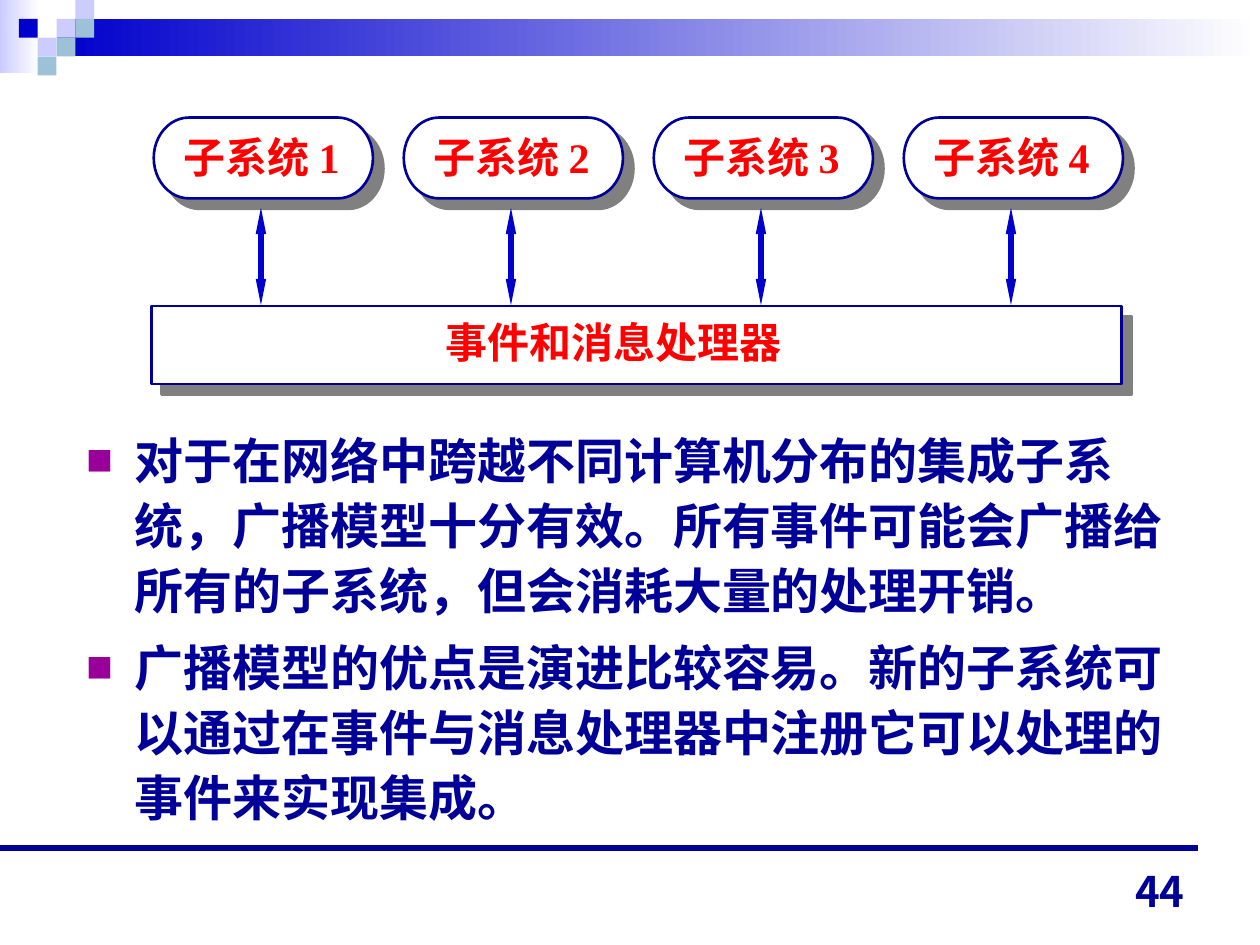
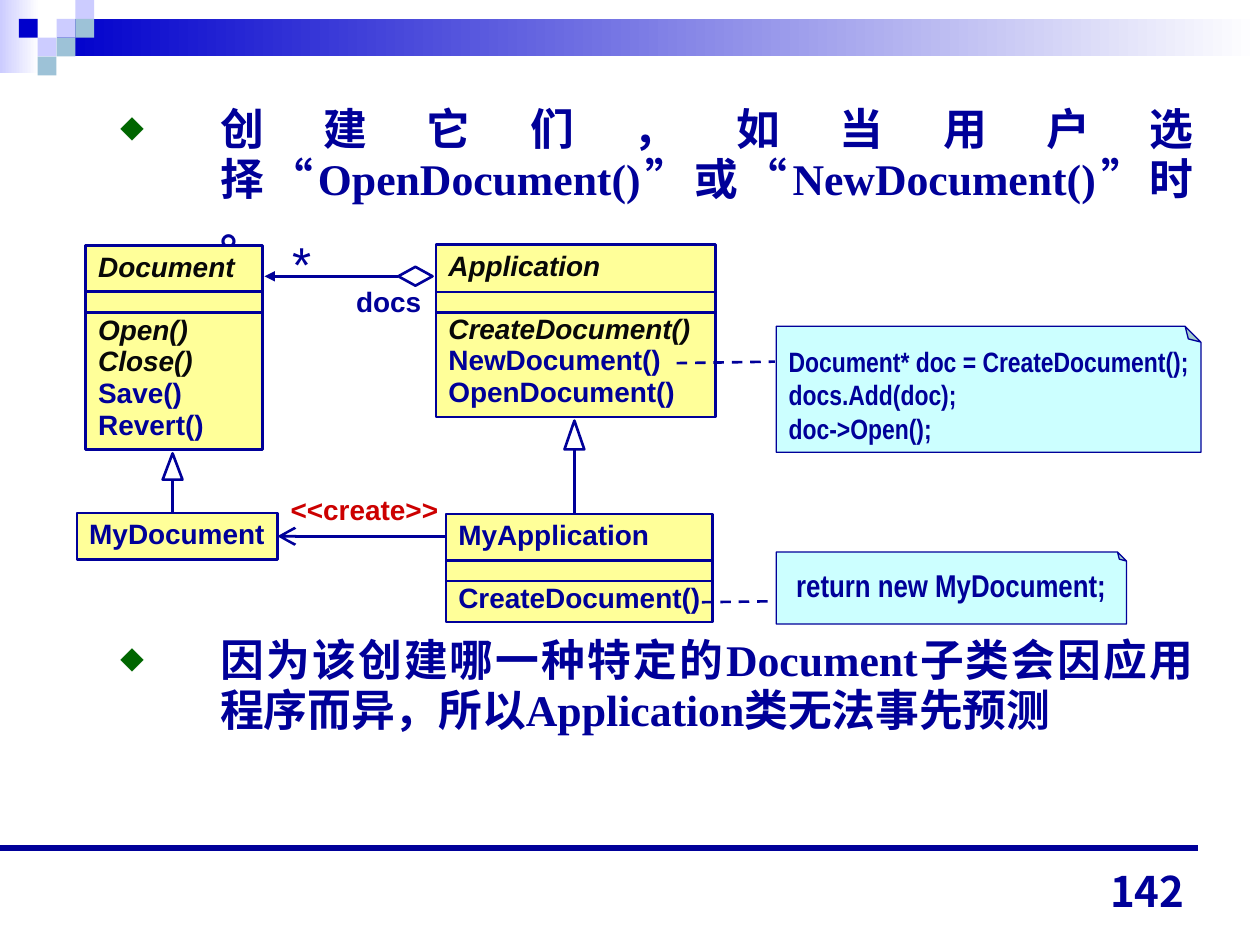
from dataclasses import dataclass, replace
from typing import Optional

from lxml import etree
from pptx import Presentation
from pptx.dml.color import RGBColor
from pptx.enum.dml import MSO_LINE
from pptx.enum.shapes import MSO_CONNECTOR, MSO_SHAPE
from pptx.enum.text import MSO_ANCHOR, PP_ALIGN
from pptx.oxml.ns import qn
from pptx.util import Cm, Pt

RECTANGLE = MSO_SHAPE.RECTANGLE
TERMINATOR = MSO_SHAPE.FLOWCHART_TERMINATOR
FOLDED_CORNER = MSO_SHAPE.FOLDED_CORNER
DIAMOND = MSO_SHAPE.DIAMOND
TRIANGLE = MSO_SHAPE.ISOSCELES_TRIANGLE
STRAIGHT = MSO_CONNECTOR.STRAIGHT
DASH = MSO_LINE.DASH
LEFT, CENTER, RIGHT, JUSTIFY = PP_ALIGN.LEFT, PP_ALIGN.CENTER, PP_ALIGN.RIGHT, PP_ALIGN.JUSTIFY
TOP, BOTTOM = MSO_ANCHOR.TOP, MSO_ANCHOR.BOTTOM
LEFT_SIDE, RIGHT_SIDE = 1, 3


@dataclass(frozen=True)
class Theme:
    navy: str = "000099"
    blue: str = "0000CC"
    lavender: str = "CCCCFF"
    teal: str = "9DC2D7"
    white: str = "FFFFFF"
    red: str = "FF0000"
    dark_red: str = "CC0000"
    black: str = "080808"
    gray: str = "808080"
    yellow: str = "FFFF99"
    aqua: str = "CCFFFF"
    purple: str = "990099"
    green: str = "006600"
    serif: str = "Times New Roman"
    sans: str = "Arial"
    narrow: str = "Arial Narrow"
    cjk: str = "Noto Sans CJK JP"
    body: float = 28
    sub_body: float = 25
    label: float = 24
    note: float = 18
    code: float = 16
    outline: float = 1.5


THEME = Theme()


@dataclass(frozen=True)
class Box:
    left: float
    top: float
    width: float
    height: float


@dataclass(frozen=True)
class Style:
    size: float
    font: str
    color: str = THEME.navy
    bold: bool = True
    italic: bool = False


@dataclass(frozen=True)
class Line:
    text: str
    style: Style
    before: float = 0


@dataclass(frozen=True)
class Bullet:
    char: str
    color: str
    margin: float
    hanging: float


@dataclass(frozen=True)
class Arrow:
    kind: str
    width: str = "med"
    length: str = "med"


@dataclass(frozen=True)
class ClassBox:
    box: Box
    lines: tuple[Line, ...]
    dividers: tuple[float, ...] = ()


BODY = Style(THEME.body, THEME.serif)
SUB_BODY = Style(THEME.sub_body, THEME.serif)
LABEL = Style(THEME.label, THEME.serif, THEME.red)
PAGE_NUMBER = Style(THEME.label, THEME.cjk)
CONCRETE = Style(THEME.code, THEME.sans)
ABSTRACT = replace(CONCRETE, color=THEME.black, italic=True)
NOTE = Style(THEME.code, THEME.narrow)
COMPARTMENT_GAP = 17.5


def rgb(color: str) -> RGBColor:
    return RGBColor.from_string(color)


# Drawing helpers
def add_child(parent, tag: str, **attributes: str):
    return etree.SubElement(parent, qn(tag), attributes)


def add_shape(slide, kind, box: Box, fill: str, line: Optional[str] = None, weight: float = THEME.outline):
    shape = slide.shapes.add_shape(kind, Cm(box.left), Cm(box.top), Cm(box.width), Cm(box.height))
    shape.shadow.inherit = False
    shape.fill.solid()
    shape.fill.fore_color.rgb = rgb(fill)
    if line:
        shape.line.color.rgb = rgb(line)
        shape.line.width = Pt(weight)
    else:
        shape.line.fill.background()
    return shape


def add_shadow(shape) -> None:
    effects = shape.element.spPr.find(qn("a:effectLst"))
    shadow = add_child(effects, "a:outerShdw", blurRad="0", dist=str(Pt(8.5)), dir="2700000",
                       algn="ctr", rotWithShape="0")
    add_child(shadow, "a:srgbClr", val=THEME.gray)


def add_gradient(slide, box: Box, color: str) -> None:
    shape = add_shape(slide, RECTANGLE, box, color)
    shape.fill.gradient()
    shape.fill.gradient_angle = 180
    for stop, stop_color in zip(shape.fill.gradient_stops, (THEME.white, color)):
        stop.color.rgb = rgb(stop_color)


def add_line(slide, start: tuple[float, float], end: tuple[float, float], color: str = THEME.navy,
             weight: float = THEME.outline, head: Optional[Arrow] = None, tail: Optional[Arrow] = None,
             dashed: bool = False):
    connector = slide.shapes.add_connector(STRAIGHT, *map(Cm, start + end))
    connector.line.color.rgb = rgb(color)
    connector.line.width = Pt(weight)
    if dashed:
        connector.line.dash_style = DASH
    properties = connector.element.spPr
    for tag, arrow in (("a:headEnd", head), ("a:tailEnd", tail)):
        if arrow:
            add_child(properties.find(qn("a:ln")), tag, type=arrow.kind, w=arrow.width, len=arrow.length)
    add_child(properties, "a:effectLst")
    return connector


def add_bullet(paragraph, bullet: Bullet) -> None:
    properties = paragraph._p.get_or_add_pPr()
    properties.set("marL", str(Cm(bullet.margin)))
    properties.set("indent", str(-Cm(bullet.hanging)))
    properties.set("hangingPunct", "0")
    add_child(add_child(properties, "a:buClr"), "a:srgbClr", val=bullet.color)
    add_child(properties, "a:buSzPct", val="55000")
    add_child(properties, "a:buFont", typeface=THEME.cjk)
    add_child(properties, "a:buChar", char=bullet.char)


def write(shape, lines: tuple[Line, ...], align=LEFT, spacing=1.0, anchor=TOP,
          bullet: Optional[Bullet] = None) -> None:
    frame = shape.text_frame
    frame.word_wrap = True
    frame.vertical_anchor = anchor
    frame.margin_left = Cm(0.25)
    frame.margin_right = Cm(0 if align == LEFT else 0.25)
    frame.margin_top = frame.margin_bottom = Cm(0.13)
    frame.text = "\n".join(line.text for line in lines)
    for paragraph, line in zip(frame.paragraphs, lines):
        if bullet:
            add_bullet(paragraph, bullet)
        paragraph.alignment = align
        paragraph.line_spacing = spacing
        paragraph.space_before = Pt(line.before)
        for run in paragraph.runs:
            run.font.size = Pt(line.style.size)
            run.font.name = line.style.font
            run.font.bold = line.style.bold
            run.font.italic = line.style.italic
            run.font.color.rgb = rgb(line.style.color)
            add_child(run._r.get_or_add_rPr(), "a:ea", typeface=THEME.cjk)


def add_text(slide, box: Box, lines: tuple[Line, ...], **options) -> None:
    text_box = slide.shapes.add_textbox(Cm(box.left), Cm(box.top), Cm(box.width), Cm(box.height))
    write(text_box, lines, **options)


# Parts shared by the slides
def add_frame(presentation, number: int):
    slide = presentation.slides.add_slide(presentation.slide_layouts[6])
    add_gradient(slide, Box(0, 0, 0.79, 1.47), THEME.lavender)
    add_gradient(slide, Box(1.14, 0.38, 24.26, 0.76), THEME.blue)
    cell = 0.38
    squares = {THEME.lavender: ((3, 1), (4, 0), (2, 2)),
               THEME.teal: ((4, 1), (3, 2), (2, 3)),
               THEME.blue: ((1, 1),)}
    for color, places in squares.items():
        for column, row in places:
            add_shape(slide, RECTANGLE, Box(column * cell, row * cell, cell, cell), color)
    add_line(slide, (0, 17.09), (24.16, 17.09), weight=3.25)
    add_text(slide, Box(18.21, 17.32, 5.92, 1.27), (Line(str(number), PAGE_NUMBER),),
             align=RIGHT, anchor=BOTTOM)
    return slide


# Slide 44: broadcast model
def build_broadcast_slide(presentation) -> None:
    slide = add_frame(presentation, 44)
    add_text(slide, Box(1.5, 8.43, 22.58, 8.6), (
        Line("对于在网络中跨越不同计算机分布的集成子系统，广播模型十分有效。"
             "所有事件可能会广播给所有的子系统，但会消耗大量的处理开销。", BODY),
        Line("广播模型的优点是演进比较容易。新的子系统可以通过在事件与消息处理器中"
             "注册它可以处理的事件来实现集成。", BODY, before=7),
    ), spacing=Pt(37.1), bullet=Bullet("■", THEME.purple, 0.97, 0.97))

    label_spacing = Pt(28.8)
    handler = add_shape(slide, RECTANGLE, Box(3.05, 6.17, 19.56, 1.57), THEME.white, THEME.navy)
    add_shadow(handler)
    add_text(slide, Box(8.74, 6.25, 7.26, 1.27), (Line("事件和消息处理器", LABEL),), spacing=label_spacing)

    arrow = Arrow("triangle", "sm", "lg")
    for index in range(4):
        left = 3.1 + 5.04 * index
        subsystem = add_shape(slide, TERMINATOR, Box(left, 2.37, 4.42, 1.63), THEME.white, THEME.navy)
        add_shadow(subsystem)
        add_text(slide, Box(left + 0.05, 2.52, 4.24, 1.27), (Line(f"子系统 {index + 1}", LABEL),),
                 align=CENTER, spacing=label_spacing)
        add_line(slide, (left + 2.16, 4.19), (left + 2.16, 6.15), THEME.blue, 3, head=arrow, tail=arrow)


# Slide 142: factory method class diagram
def add_class(slide, item: ClassBox):
    box = item.box
    shape = add_shape(slide, RECTANGLE, box, THEME.yellow, THEME.navy)
    write(shape, item.lines, spacing=0.95)
    for y in item.dividers:
        add_line(slide, (box.left, y), (box.left + box.width, y))
    return shape


def add_note(slide, box: Box, text_box: Box, lines: tuple[Line, ...]) -> None:
    shape = add_shape(slide, FOLDED_CORNER, box, THEME.aqua, THEME.navy, 0.75)
    properties = shape.element.spPr
    properties.find(qn("a:xfrm")).set("flipV", "1")
    guides = properties.find(qn("a:prstGeom")).find(qn("a:avLst"))
    add_child(guides, "a:gd", name="adj", fmla="val 12500")
    add_text(slide, text_box, lines)


def build_factory_slide(presentation) -> None:
    slide = add_frame(presentation, 142)
    add_text(slide, Box(1.45, 1.96, 22.86, 15.01), (
        Line("创建它们，如当用户选择“OpenDocument()”或“NewDocument()”时。", SUB_BODY),
        Line("因为该创建哪一种特定的Document子类会因应用程序而异，所以Application类无法事先预测",
             SUB_BODY, before=217.5),
    ), align=JUSTIFY, spacing=Pt(28.7), bullet=Bullet("◆", THEME.green, 2.74, 2.01))

    # Classes
    add_class(slide, ClassBox(Box(1.73, 4.95, 3.56, 4.11), (
        Line("Document", ABSTRACT), Line("Open()", ABSTRACT, COMPARTMENT_GAP), Line("Close()", ABSTRACT),
        Line("Save()", CONCRETE), Line("Revert()", CONCRETE)), (5.87, 6.3)))
    add_class(slide, ClassBox(Box(8.79, 4.93, 5.64, 3.48), (
        Line("Application", ABSTRACT), Line("CreateDocument()", ABSTRACT, COMPARTMENT_GAP),
        Line("NewDocument()", CONCRETE), Line("OpenDocument()", CONCRETE)), (5.89, 6.3)))
    my_document = add_class(slide, ClassBox(Box(1.55, 10.34, 4.04, 0.94), (Line("MyDocument", CONCRETE),)))
    add_class(slide, ClassBox(Box(8.99, 10.36, 5.38, 2.18), (
        Line("MyApplication", CONCRETE), Line("CreateDocument()", CONCRETE, COMPARTMENT_GAP)), (11.3, 11.71)))

    # Notes
    add_note(slide, Box(15.65, 6.58, 8.56, 2.54), Box(15.65, 6.81, 8.56, 2.29), (
        Line("Document* doc = CreateDocument();", NOTE), Line("docs.Add(doc);", NOTE),
        Line("doc->Open();", NOTE)))
    add_note(slide, Box(15.65, 11.13, 7.06, 1.45), Box(15.8, 11.28, 6.76, 1.02),
             (Line("return new MyDocument;", replace(NOTE, size=THEME.note)),))
    add_line(slide, (13.64, 7.32), (15.62, 7.29), dashed=True)
    add_line(slide, (14.15, 12.14), (15.62, 12.12), dashed=True)

    # Aggregation, creation and inheritance
    diamond = add_shape(slide, DIAMOND, Box(8.03, 5.38, 0.69, 0.38), THEME.white, THEME.navy)
    aggregation = add_line(slide, (8.03, 5.57), (5.33, 5.57), tail=Arrow("triangle"))
    aggregation.begin_connect(diamond, LEFT_SIDE)
    creation = add_line(slide, (8.99, 10.81), (5.59, 10.81), tail=Arrow("arrow", "lg", "lg"))
    creation.end_connect(my_document, RIGHT_SIDE)
    for center, top, height in ((3.48, 9.14, 0.53), (11.58, 8.48, 0.58)):
        add_line(slide, (center, top + height), (center, 10.34))
        add_shape(slide, TRIANGLE, Box(center - 0.2, top, 0.4, height), THEME.white, THEME.navy)

    # Relation labels
    add_text(slide, Box(6.93, 5.61, 1.8, 0.94), (Line("docs", CONCRETE),))
    add_text(slide, Box(5.64, 4.57, 0.89, 1.45), (Line("*", Style(THEME.body, THEME.sans, bold=False)),))
    add_text(slide, Box(5.61, 9.8, 3.48, 0.94), (Line("<<create>>", replace(CONCRETE, color=THEME.dark_red)),))


def main() -> None:
    presentation = Presentation()
    presentation.slide_width = Cm(25.4)
    presentation.slide_height = Cm(19.05)
    build_broadcast_slide(presentation)
    build_factory_slide(presentation)
    presentation.save("out.pptx")


if __name__ == "__main__":
    main()
